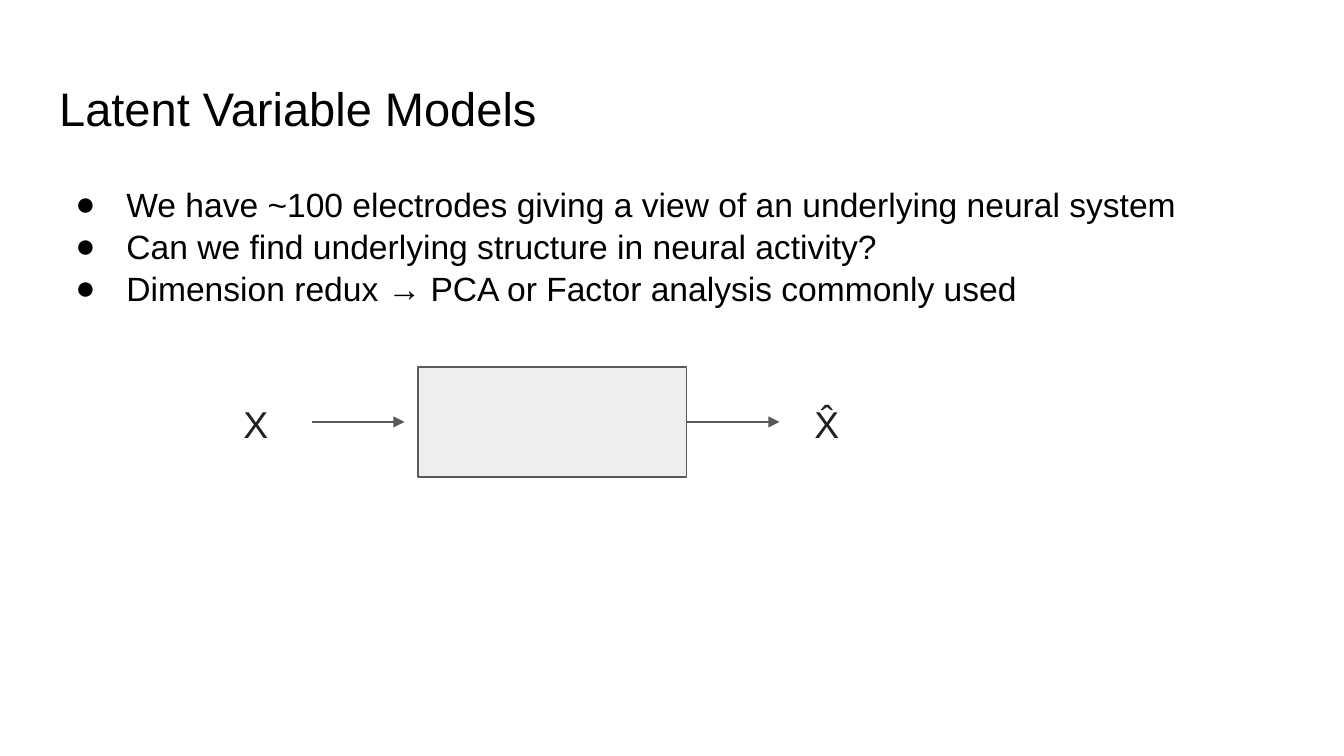
from lxml import etree
from pptx import Presentation
from pptx.dml.color import RGBColor
from pptx.enum.shapes import MSO_CONNECTOR, MSO_SHAPE
from pptx.enum.text import MSO_ANCHOR, MSO_AUTO_SIZE, PP_ALIGN
from pptx.oxml.ns import qn
from pptx.util import Inches, Pt

RECTANGLE = MSO_SHAPE.RECTANGLE
STRAIGHT = MSO_CONNECTOR.STRAIGHT
TOP, MIDDLE = MSO_ANCHOR.TOP, MSO_ANCHOR.MIDDLE
LEFT = PP_ALIGN.LEFT
NO_AUTOFIT = MSO_AUTO_SIZE.NONE
RIGHT_SIDE = 3

FONT = "Arial"
COLORS = {"text": "000000", "symbol": "202122", "box": "EEEEEE", "line": "595959"}


def color(name):
    return RGBColor.from_string(COLORS[name])


def place(shape, left, top, width, height):
    shape.left, shape.top = Inches(left), Inches(top)
    shape.width, shape.height = Inches(width), Inches(height)


def add_bullet(paragraph, character, indent, hanging):
    properties = paragraph._p.get_or_add_pPr()
    properties.set("marL", str(Inches(indent)))
    properties.set("indent", str(-Inches(hanging)))
    bullet_color = etree.SubElement(properties, qn("a:buClr"))
    etree.SubElement(bullet_color, qn("a:srgbClr"), val=COLORS["text"])
    etree.SubElement(properties, qn("a:buFont"), typeface=FONT)
    etree.SubElement(properties, qn("a:buChar"), char=character)


def write_text(shape, lines, size, color_name="text", anchor=TOP, line_spacing=1.0,
               bullet=None, inset_left=0.1):
    frame = shape.text_frame
    frame.word_wrap = True
    frame.auto_size = NO_AUTOFIT
    frame.vertical_anchor = anchor
    frame.margin_left = Inches(inset_left)
    frame.margin_right = frame.margin_top = frame.margin_bottom = Inches(0.1)
    for index, line in enumerate(lines):
        paragraph = frame.add_paragraph() if index else frame.paragraphs[0]
        paragraph.alignment = LEFT
        paragraph.line_spacing = line_spacing
        paragraph.space_before = paragraph.space_after = Pt(0)
        if bullet:
            add_bullet(paragraph, bullet, indent=0.5, hanging=0.38)
        run = paragraph.add_run()
        run.text = line
        run.font.name = FONT
        run.font.size = Pt(size)
        run.font.color.rgb = color(color_name)


def add_arrow(slide, start, end, y):
    arrow = slide.shapes.add_connector(STRAIGHT, Inches(start), Inches(y), Inches(end), Inches(y))
    arrow.line.color.rgb = color("line")
    arrow.line.width = Pt(0.75)
    etree.SubElement(arrow.line._get_or_add_ln(), qn("a:tailEnd"), type="triangle")
    etree.SubElement(arrow._element.spPr, qn("a:effectLst"))
    return arrow


def add_symbol(slide, text, left, top, width, height):
    box = slide.shapes.add_textbox(Inches(left), Inches(top), Inches(width), Inches(height))
    write_text(box, [text], 20, color_name="symbol", line_spacing=1.05, inset_left=0.17)


def add_heading(slide, left, top, width, height):
    title = slide.shapes.title
    place(title, left, top, width, height)
    write_text(title, ["Latent Variable Models"], 25.2, anchor=MIDDLE)


def add_points(slide, left, top, width, height):
    body = slide.placeholders[1]
    place(body, left, top, width, height)
    write_text(body, [
        "We have ~100 electrodes giving a view of an underlying neural system",
        "Can we find underlying structure in neural activity?",
        "Dimension redux → PCA or Factor analysis commonly used",
    ], 18, line_spacing=1.05, bullet="●")


def add_model_diagram(slide, left, top, width, height):
    middle = top + height / 2
    box_left, box_width, arrow_length, gap = left + 1.47, 2, 0.69, 0.1
    box_right = box_left + box_width
    symbol_width, symbol_height = 0.59, 0.54
    symbol_top = top + (height - symbol_height) / 2

    # Model box
    model = slide.shapes.add_shape(RECTANGLE, Inches(box_left), Inches(top),
                                   Inches(box_width), Inches(height))
    model.shadow.inherit = False
    model.fill.solid()
    model.fill.fore_color.rgb = color("box")
    model.line.color.rgb = color("line")
    model.line.width = Pt(0.75)

    # Input and output arrows
    add_arrow(slide, box_left - gap - arrow_length, box_left - gap, middle)
    output = add_arrow(slide, box_right, box_right + arrow_length, middle)
    output.begin_connect(model, RIGHT_SIDE)

    # Input and output symbols
    for text, symbol_left in (("X", left), ("X̂", left + width - symbol_width)):
        add_symbol(slide, text, symbol_left, symbol_top, symbol_width, symbol_height)


def main():
    presentation = Presentation()
    presentation.slide_width = Inches(10)
    presentation.slide_height = presentation.slide_width * 9 // 16
    slide = presentation.slides.add_slide(presentation.slide_layouts[1])
    add_heading(slide, 0.34, 0.49, 9.32, 0.63)
    add_points(slide, 0.34, 1.25, 9.72, 1.29)
    add_model_diagram(slide, 1.64, 2.73, 4.84, 0.82)
    presentation.save("out.pptx")


if __name__ == "__main__":
    main()
